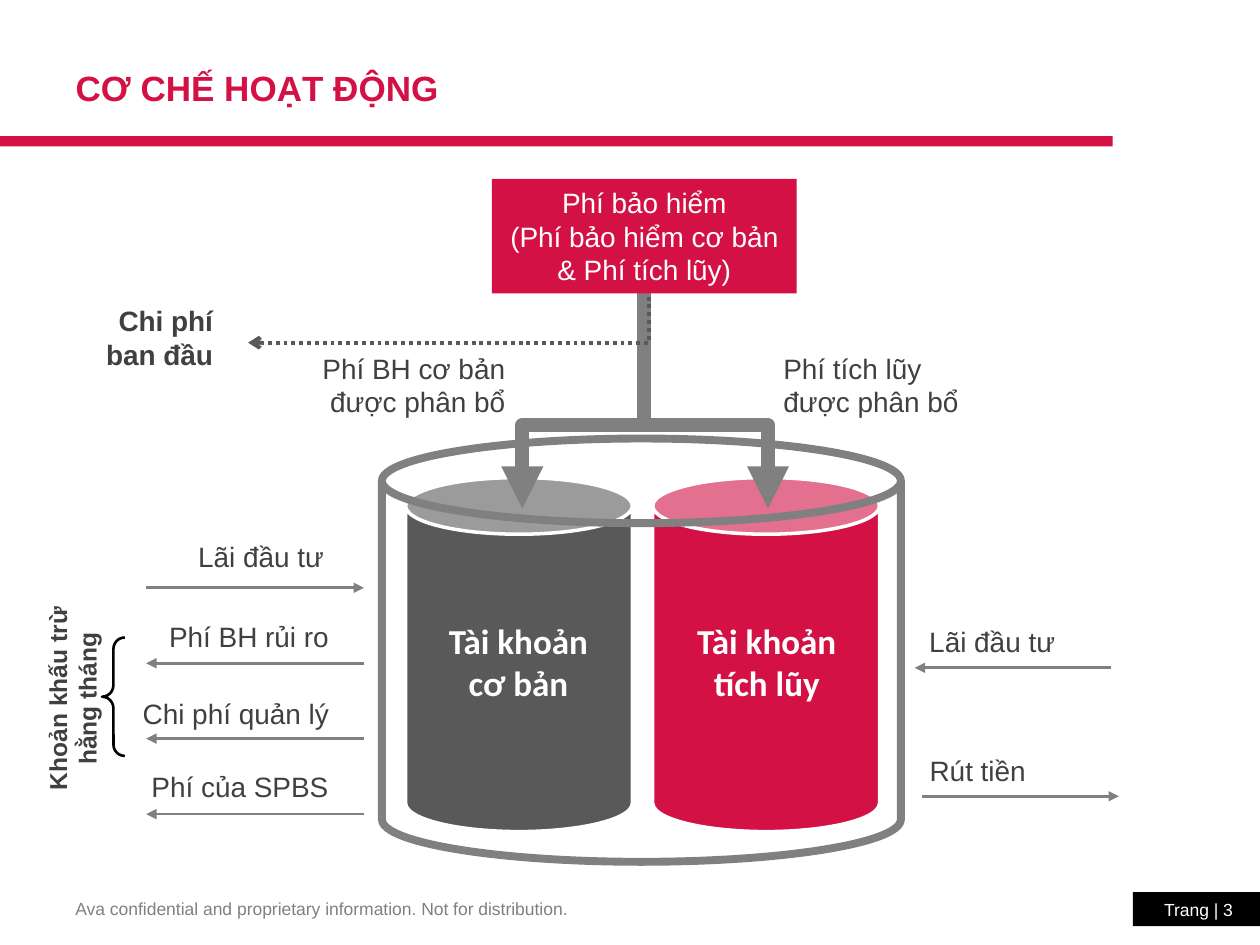
from copy import deepcopy
from dataclasses import dataclass
from typing import NamedTuple

from pptx import Presentation
from pptx.dml.color import RGBColor as RGB
from pptx.enum.dml import MSO_LINE as Dash
from pptx.enum.shapes import MSO_CONNECTOR as Link, MSO_SHAPE as Kind
from pptx.enum.text import MSO_ANCHOR as Anchor, MSO_AUTO_SIZE as Fit, PP_ALIGN as Align
from pptx.oxml.ns import qn
from pptx.util import Pt
from lxml.etree import SubElement


@dataclass(frozen=True)
class Theme:
    red: str = "D31145"
    dark: str = "595959"
    gray: str = "808080"
    ink: str = "404040"
    white: str = "FFFFFF"
    black: str = "000000"
    sans: str = "Arial"
    round: str = "Calibri"
    big: float = 20
    body: float = 16
    side: float = 14
    small: float = 10


class Box(NamedTuple):
    x: float
    y: float
    w: float
    h: float


class Label(NamedTuple):
    box: Box
    text: str
    align: Align = Align.RIGHT
    size: float = Theme.body
    color: str = Theme.ink
    bold: bool = False
    face: str = Theme.sans
    turn: float = 0


class Arrow(NamedTuple):
    start: float
    tip: float
    y: float


class Tank(NamedTuple):
    x: float
    fill: str
    name: Label


T = Theme()
LEFT, MID, RIGHT = Align.LEFT, Align.CENTER, Align.RIGHT

TANKS = [
    Tank(231.8, T.dark, Label(Box(249.1, 350.6, 94.3, 55.4), "Tài khoản\ncơ bản",
                              MID, T.big, T.white, True, T.round)),
    Tank(373, T.red, Label(Box(391, 350.6, 94.3, 55.4), "Tài khoản\ntích lũy",
                           MID, T.big, T.white, True, T.round)),
]
LABELS = [
    Label(Box(175.7, 197.3, 120.2, 46.1), "Phí BH cơ bản\nđược phân bổ"),
    Label(Box(440.6, 197.3, 120.2, 46.1), "Phí tích lũy\nđược phân bổ", LEFT),
    Label(Box(105.1, 304.6, 87.1, 26.6), "Lãi đầu tư"),
    Label(Box(87.8, 350.6, 107.3, 26.6), "Phí BH rủi ro"),
    Label(Box(72.7, 394.6, 122.4, 26.6), "Chi phí quản lý"),
    Label(Box(78.2, 436.3, 116.6, 26.6), "Phí của SPBS"),
    Label(Box(-20.2, 378.7, 123.1, 41), "Khoản khấu trừ\nhằng tháng", MID,
          T.side, bold=True, turn=270),
    Label(Box(523.4, 353.5, 87.1, 26.6), "Lãi đầu tư", MID),
    Label(Box(523.4, 427, 70.6, 26.6), "Rút tiền", MID),
    Label(Box(52.6, 169.9, 76.3, 46.1), "Chi phí\nban đầu", bold=True),
]
NEAR, FAR, TOP, STEP = 208, 83.5, 335.9, 43.1
ARROWS = [
    Arrow(FAR, NEAR, TOP),
    *(Arrow(NEAR, FAR, TOP + i * STEP) for i in (1, 2, 3)),
    Arrow(635, 522.7, 381.6),
    Arrow(527, 639.4, 455),
]
STEM_X = 368.2


def color(code: str) -> RGB:
    return RGB.from_string(code)


def points(box: Box) -> list[Pt]:
    return [Pt(v) for v in box]


def write(shape, label: Label, **extra) -> None:
    """Put the label's words in the shape; extra holds text frame values."""
    frame = shape.text_frame
    look = {"word_wrap": False, "auto_size": Fit.SHAPE_TO_FIT_TEXT, **extra}
    for key, value in look.items():
        setattr(frame, key, value)
    para = frame.paragraphs[0]
    para.text = label.text
    para.alignment = label.align
    form = {"name": label.face, "size": Pt(label.size), "bold": label.bold}
    for run in para.runs:
        for key, value in form.items():
            setattr(run.font, key, value)
        run.font.color.rgb = color(label.color)
    # Line breaks take the run format, so that line heights agree
    for gap in para._p.findall(qn("a:br")):
        gap.insert(0, deepcopy(para.runs[0]._r.rPr))


def note(shapes, label: Label) -> None:
    shape = shapes.add_textbox(*points(label.box))
    shape.rotation = label.turn
    write(shape, label)


def stroke(item, code: str, width: float, **ends: str) -> None:
    """Set the line; ends maps head or tail to an arrowhead type."""
    item.line.color.rgb = color(code)
    item.line.width = Pt(width)
    for end in ("head", "tail"):
        if end in ends:
            SubElement(item.line._get_or_add_ln(), qn(f"a:{end}End"), type=ends[end])


def draw(shapes, kind: Kind, box: Box, fill: str = "", adjust: tuple = ()):
    shape = shapes.add_shape(kind, *points(box))
    shape.shadow.inherit = False
    for i, value in enumerate(adjust):
        shape.adjustments[i] = value
    if fill:
        shape.fill.solid()
        shape.fill.fore_color.rgb = color(fill)
    else:
        shape.fill.background()
    shape.line.fill.background()
    return shape


def join(shapes, x1: float, y1: float, x2: float, y2: float, width: float, **ends):
    line = shapes.add_connector(Link.STRAIGHT, Pt(x1), Pt(y1), Pt(x2), Pt(y2))
    stroke(line, T.gray, width, **ends)
    SubElement(line._element.spPr, qn("a:effectLst"))
    return line


def frame(slide) -> None:
    """Draw the title, rule, footer and page tag."""
    shapes = slide.shapes
    draw(shapes, Kind.RECTANGLE, Box(0, 77.8, 635.8, 5.8), T.red)
    note(shapes, Label(Box(36, 509.8, 296.6, 19.4),
                       "Ava confidential and proprietary information. Not for distribution.",
                       LEFT, T.small, T.gray))
    tag = Label(Box(647.3, 509.8, 72.7, 19.4), "Trang | 3", RIGHT, T.small, T.white)
    write(draw(shapes, Kind.RECTANGLE, tag.box, T.black), tag, margin_right=Pt(15.5))
    title = shapes.title
    place = Box(36, 16.6, 606.2, 67)
    for key, value in zip(("left", "top", "width", "height"), points(place)):
        setattr(title, key, value)
    write(title, Label(place, "CƠ CHẾ HOẠT ĐỘNG", LEFT, T.big, T.red, True),
          word_wrap=True, auto_size=Fit.NONE, vertical_anchor=Anchor.MIDDLE)


def chart(shapes) -> None:
    """Draw the tanks and the flow of fees."""
    stem = join(shapes, STEM_X, 167.8, STEM_X, 243.4, 8)
    for tank in TANKS:
        can = draw(shapes, Kind.CAN, Box(tank.x, 272.9, 129.6, 202.3), tank.fill)
        stroke(can, T.white, 2)
    pool = draw(shapes, Kind.CAN, Box(218.2, 250.6, 296.6, 241.9), adjust=(0.2,))
    stroke(pool, T.gray, 4.5)
    fork = draw(shapes, Kind.LEFT_BRACKET, Box(344.9, 196.6, 47.5, 140.4), adjust=(0,))
    fork.rotation = 90
    stroke(fork, T.gray, 8, head="triangle", tail="triangle")
    brace = draw(shapes, Kind.LEFT_BRACE, Box(58.3, 364.3, 13, 67.7), adjust=(0.5, 0.5))
    stroke(brace, T.black, 1.5)
    for label in [tank.name for tank in TANKS] + LABELS:
        note(shapes, label)
    for arrow in ARROWS:
        join(shapes, arrow.start, arrow.y, arrow.tip, arrow.y, 1.5, tail="triangle")

    pen = shapes.build_freeform(Pt(370.8), Pt(142.6))
    pen.add_line_segments([(Pt(370.8), Pt(195.8)), (Pt(141.8), Pt(195.8))], close=False)
    cost = pen.convert_to_shape()
    cost.shadow.inherit = False
    cost.fill.background()
    cost.line.dash_style = Dash.ROUND_DOT
    stroke(cost, T.dark, 2.25, tail="arrow")

    fee = Label(Box(STEM_X - 87.1, 102.2, 174.2, 65.5),
                "Phí bảo hiểm\n(Phí bảo hiểm cơ bản\n& Phí tích lũy)", MID, color=T.white)
    write(draw(shapes, Kind.RECTANGLE, fee.box, T.red), fee)
    stem.begin_connect(shapes[-1], 2)


def main() -> None:
    deck = Presentation()
    deck.slide_width, deck.slide_height = Pt(720), Pt(540)
    slide = deck.slides.add_slide(deck.slide_layouts[5])
    frame(slide)
    chart(slide.shapes)
    deck.save("out.pptx")


if __name__ == "__main__":
    main()
